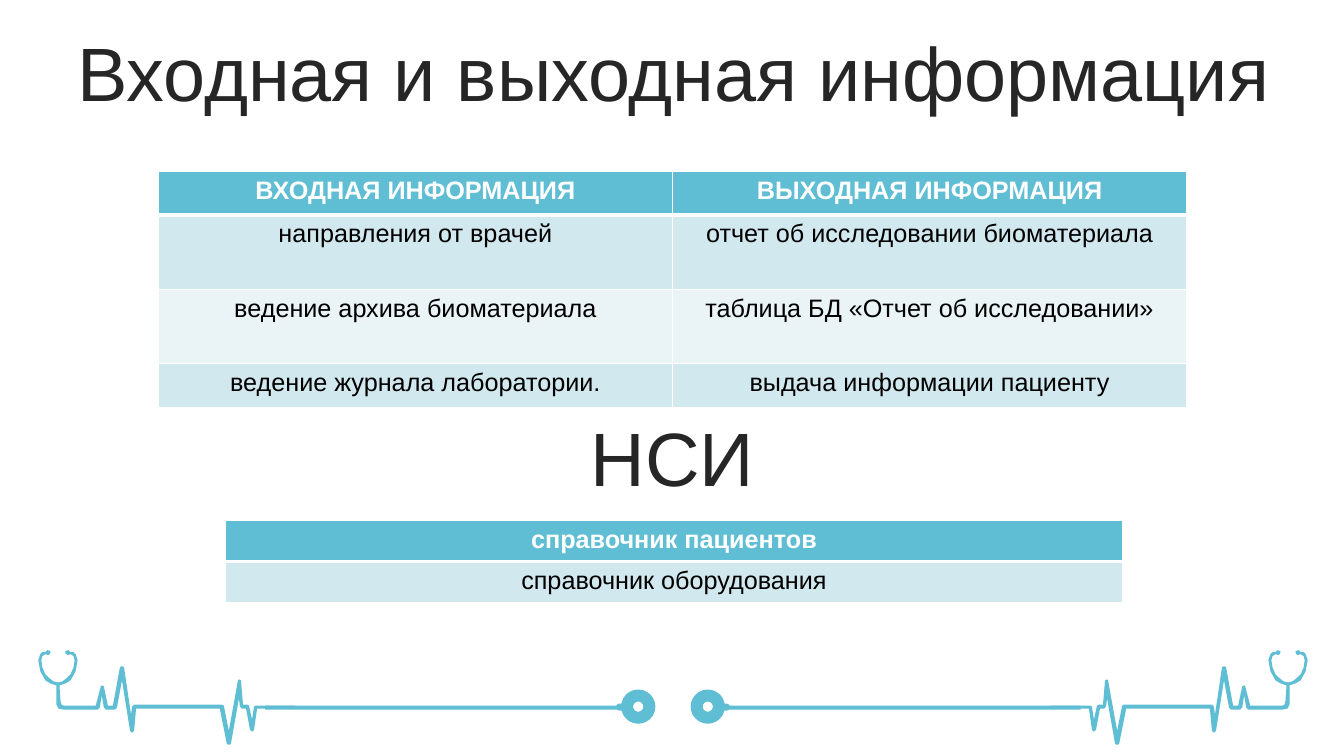
from lxml.etree import SubElement
from pptx import Presentation
from pptx.dml.color import RGBColor
from pptx.enum.shapes import MSO_SHAPE as Shape
from pptx.enum.text import MSO_ANCHOR as Anchor, PP_ALIGN as Align
from pptx.oxml.ns import qn
from pptx.util import Inches, Pt

COLORS = {
    "teal": "60BED4",
    "band_dark": "D2E8EF",
    "band_light": "EAF4F7",
    "heading": "262626",
    "black": "000000",
    "white": "FFFFFF",
}
SLIDE_WIDTH = 13.33
SLIDE_HEIGHT = 7.5
FOOTER_AXIS = 6.675
HEADSET_AXIS = 0.575

LEFT_EARPIECE = [
    (0.56, 6.8), (0.5, 6.78), (0.45, 6.75), (0.4, 6.66), (0.38, 6.55),
    (0.4, 6.49), (0.42, 6.47), (0.45, 6.47), (0.47, 6.45), (0.5, 6.46),
    (0.5, 6.48), (0.48, 6.5), (0.45, 6.49), (0.42, 6.51), (0.41, 6.55),
    (0.42, 6.62), (0.45, 6.69), (0.48, 6.72), (0.53, 6.76), (0.57, 6.77),
]
PULSE_UPPER_EDGE = [
    (0.6, 6.95), (0.61, 6.99), (0.63, 7), (0.95, 7), (1, 6.81),
    (1.01, 6.8), (1.03, 6.81), (1.07, 7), (1.12, 7), (1.19, 6.62),
    (1.21, 6.61), (1.23, 6.62), (1.3, 7.09), (1.31, 7.01), (1.33, 6.99),
    (2.2, 6.99), (2.22, 7), (2.27, 7.25), (2.36, 6.75), (2.37, 6.74),
    (2.39, 6.75), (2.41, 6.99), (2.45, 6.99), (2.47, 7), (2.5, 7.14),
    (2.52, 7.01), (2.54, 7), (2.93, 7),
]
PULSE_LOWER_EDGE = [
    (0.56, 6.99), (0.58, 7.03), (0.63, 7.04), (0.97, 7.04), (0.99, 7.02),
    (1.01, 6.9), (1.03, 7.02), (1.05, 7.04), (1.14, 7.04), (1.16, 7.02),
    (1.21, 6.75), (1.29, 7.25), (1.31, 7.27), (1.33, 7.25), (1.35, 7.03),
    (2.18, 7.03), (2.25, 7.38), (2.27, 7.39), (2.29, 7.38), (2.37, 6.93),
    (2.38, 7.01), (2.4, 7.03), (2.44, 7.03), (2.48, 7.24), (2.5, 7.26),
    (2.52, 7.24), (2.55, 7.03), (2.93, 7.03),
]

INPUT_OUTPUT_ROWS = [
    ("ВХОДНАЯ ИНФОРМАЦИЯ", "ВЫХОДНАЯ ИНФОРМАЦИЯ"),
    ("направления от врачей", "отчет об исследовании биоматериала"),
    ("ведение архива биоматериала", "таблица БД «Отчет об исследовании»"),
    ("ведение журнала лаборатории.", "выдача информации пациенту"),
]
REFERENCE_ROWS = [("справочник пациентов",), ("справочник оборудования",)]


def rgb(name):
    return RGBColor.from_string(COLORS[name])


def mirror(points, axis):
    return [(2 * axis - x, y) for x, y in points]


def write_text(frame, text, size=18, color="black", bold=False, **spacing):
    paragraph = frame.paragraphs[0]
    paragraph.alignment = Align.CENTER
    for key, value in spacing.items():
        setattr(paragraph, key, value)
    run = paragraph.add_run()
    run.text = text
    run.font.name = "Arial"
    run.font.size = Pt(size)
    run.font.bold = bold
    run.font.color.rgb = rgb(color)


def add_heading(slide, text, left, top):
    frame = slide.shapes.add_textbox(
        Inches(left), Inches(top), Inches(12.66), Inches(0.79)).text_frame
    frame.word_wrap = True
    frame.vertical_anchor = Anchor.MIDDLE
    write_text(frame, text, size=54, color="heading",
               line_spacing=0.9, space_before=Pt(10))


def set_borders(cell, **widths):
    properties = cell._tc.get_or_add_tcPr()
    for side, width in widths.items():
        border = SubElement(properties, qn(f"a:ln{side}"), w=str(Pt(width)))
        fill = SubElement(border, qn("a:solidFill"))
        SubElement(fill, qn("a:srgbClr"), val=COLORS["white"])


def format_cell(cell, text, row_index):
    header = row_index == 0
    band = "band_dark" if row_index % 2 else "band_light"
    set_borders(cell, L=1, R=1, T=3 if row_index == 1 else 1,
                B=3 if header else 1)
    cell.fill.solid()
    cell.fill.fore_color.rgb = rgb("teal" if header else band)
    write_text(cell.text_frame, text, bold=header,
               color="white" if header else "black")


def add_info_table(slide, rows, left, top, column_width, heights):
    column_count = len(rows[0])
    table = slide.shapes.add_table(
        len(rows), column_count, Inches(left), Inches(top),
        Inches(column_width * column_count), Inches(sum(heights))).table
    for column in table.columns:
        column.width = Inches(column_width)
    for row_index, (texts, height) in enumerate(zip(rows, heights)):
        table.rows[row_index].height = Inches(height)
        for column_index, text in enumerate(texts):
            format_cell(table.cell(row_index, column_index), text, row_index)


def fill_teal(shape):
    shape.shadow.inherit = False
    shape.fill.solid()
    shape.fill.fore_color.rgb = rgb("teal")
    shape.line.fill.background()


def add_headset_and_pulse(slide, mirrored):
    right_earpiece = mirror(LEFT_EARPIECE, HEADSET_AXIS)[::-1]
    outline = (LEFT_EARPIECE + right_earpiece
               + PULSE_UPPER_EDGE + PULSE_LOWER_EDGE[::-1])
    if mirrored:
        outline = mirror(outline, FOOTER_AXIS)
    start, *others = [(Inches(x), Inches(y)) for x, y in outline]
    builder = slide.shapes.build_freeform(*start)
    builder.add_line_segments(others, close=True)
    fill_teal(builder.convert_to_shape())


def add_part(slide, kind, left, top, width, height, mirrored):
    if mirrored:
        left = 2 * FOOTER_AXIS - left - width
    part = slide.shapes.add_shape(
        kind, Inches(left), Inches(top), Inches(width), Inches(height))
    fill_teal(part)
    return part


def add_stethoscope(slide, mirrored):
    add_headset_and_pulse(slide, mirrored)
    chestpiece = add_part(slide, Shape.OVAL, 6.22, 6.9, 0.22, 0.22, mirrored)
    chestpiece.fill.background()
    chestpiece.line.color.rgb = rgb("teal")
    chestpiece.line.width = Pt(8.57)
    joint = add_part(slide, Shape.ROUNDED_RECTANGLE,
                     6.11, 6.98, 0.11, 0.07, mirrored)
    joint.adjustments[0] = 0.5
    add_part(slide, Shape.RECTANGLE, 2.63, 7, 3.56, 0.04, mirrored)


def main():
    deck = Presentation()
    deck.slide_width = Inches(SLIDE_WIDTH)
    deck.slide_height = Inches(SLIDE_HEIGHT)
    slide = deck.slides.add_slide(deck.slide_layouts[6])

    for mirrored in (True, False):
        add_stethoscope(slide, mirrored)
    add_heading(slide, "Входная и выходная информация", 0.35, 0.37)
    add_info_table(slide, INPUT_OUTPUT_ROWS, 1.57, 1.7, 5.1,
                   [0.43, 0.74, 0.74, 0.43])
    add_heading(slide, "НСИ", 0.34, 4.19)
    add_info_table(slide, REFERENCE_ROWS, 2.24, 5.16, 8.89, [0.41, 0.41])

    deck.save("out.pptx")


if __name__ == "__main__":
    main()
